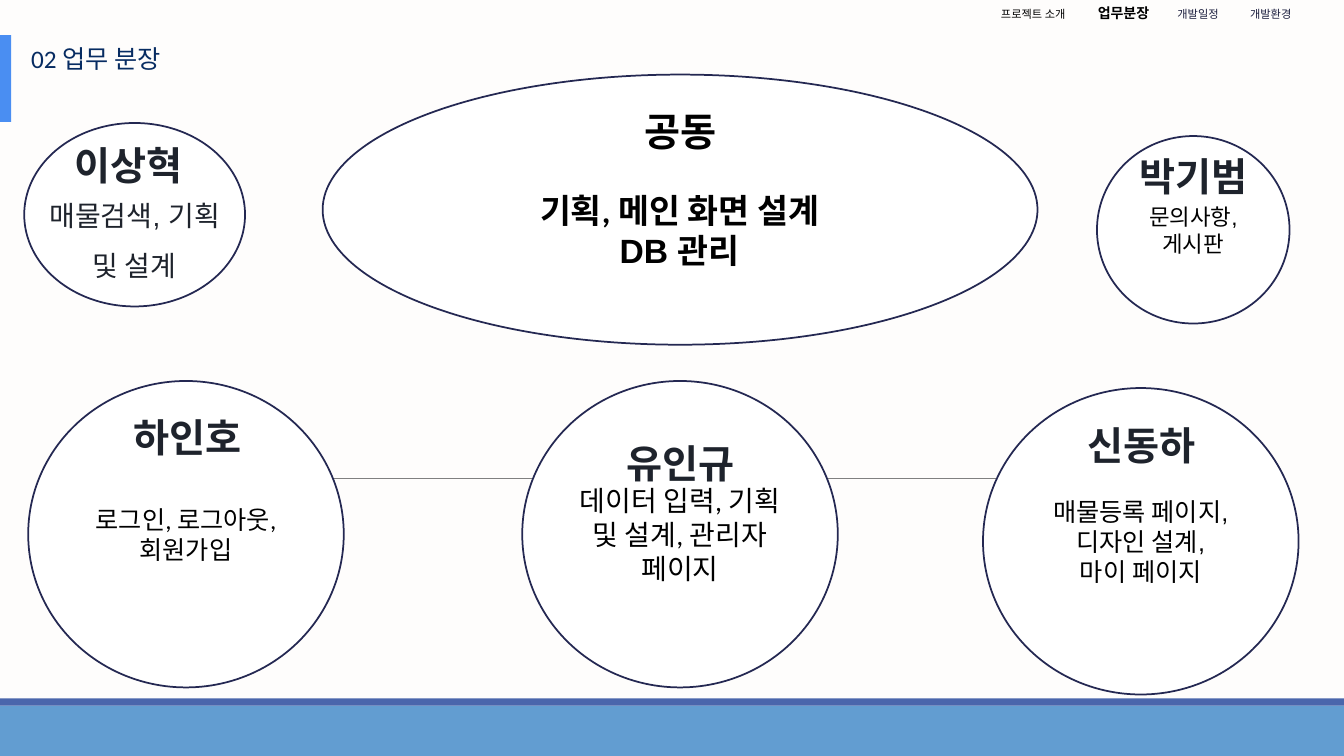
from lxml import etree
from pptx import Presentation
from pptx.dml.color import RGBColor
from pptx.enum.shapes import MSO_CONNECTOR, MSO_SHAPE
from pptx.enum.text import MSO_ANCHOR, PP_ALIGN
from pptx.oxml.ns import qn
from pptx.util import Inches, Pt

RECT, OVAL = MSO_SHAPE.RECTANGLE, MSO_SHAPE.OVAL
STRAIGHT = MSO_CONNECTOR.STRAIGHT
MIDDLE, TOP = MSO_ANCHOR.MIDDLE, MSO_ANCHOR.TOP
CENTER, LEFT = PP_ALIGN.CENTER, PP_ALIGN.LEFT

COLORS = {
    "background": "FEFDFC", "footer": "629DD1", "footer_edge": "4A66AC",
    "rule": "808080", "outline": "242852", "accent": "4A8EF2",
    "title": "072C62", "name": "1E232C", "nav": "1B1E3E",
    "black": "000000", "white": "FFFFFF",
}

# name, name box (left, top), ellipse box, duty lines, duty size, duty fonts
MEMBERS = [
    ("하인호", (1.18, 4.05), (0.28, 3.78, 3.13, 3.04),
     ["로그인, 로그아웃, 회원가입"], 18, ["Calibri"]),
    ("유인규", (6.07, 4.31), (5.18, 3.78, 3.13, 3.04),
     ["데이터 입력, 기획 및 설계, 관리자 페이지"], 20, ["Calibri"]),
    ("신동하", (10.64, 4.13), (9.75, 3.85, 3.13, 3.04),
     ["매물등록 페이지,", "디자인 설계,", "마이 페이지"], 18,
     ["Arial", "Arial", "Calibri"]),
    ("박기범", (11.16, 1.46), (10.88, 1.35, 1.91, 1.86),
     ["문의사항, 게시판"], 16, ["Arial"]),
    ("이상혁", (0.6, 1.35), (0.24, 1.22, 2.19, 1.82), [], 20, []),
]
# label, size, bold, colour
NAV = [
    ("프로젝트 소개", 8, False, "black"),
    ("업무분장", 10, True, "black"),
    ("개발일정", 8, False, "nav"),
    ("개발환경", 8, False, "nav"),
]
NAV_TABS = [0.96, 1.75, 2.47]


def rgb(name):
    return RGBColor.from_string(COLORS[name])


def style_font(font, size, color, bold=False, face="Calibri"):
    font.size, font.bold, font.name = Pt(size), bold, face
    font.color.rgb = rgb(color)


def write(sp, lines, size, color="black", bold=False, fonts=("Calibri",),
          align=CENTER, anchor=TOP, wrap=True, spacing=None):
    """Fill a shape with one paragraph per line, each in its own font."""
    tf = sp.text_frame
    tf.word_wrap, tf.vertical_anchor = wrap, anchor
    for i, (line, face) in enumerate(zip(lines, fonts)):
        p = tf.add_paragraph() if i else tf.paragraphs[0]
        p.text, p.alignment = line, align
        if spacing:
            p.line_spacing = spacing
        style_font(p.font, size, color, bold, face)


def add_shape(s, kind, box, fill, line=None, width=1.25):
    sp = s.shapes.add_shape(kind, *map(Inches, box))
    sp.shadow.inherit = False
    sp.fill.solid()
    sp.fill.fore_color.rgb = rgb(fill)
    if line:
        sp.line.color.rgb = rgb(line)
        sp.line.width = Pt(width)
    else:
        sp.line.fill.background()
    return sp


def add_text(s, box, lines, size, color="black", **style):
    sp = s.shapes.add_textbox(*map(Inches, box))
    write(sp, lines, size, color, **style)


def add_rule(s, x1, x2, y):
    line = s.shapes.add_connector(
        STRAIGHT, Inches(x1), Inches(y), Inches(x2), Inches(y))
    line.line.color.rgb = rgb("rule")
    line.line.width = Pt(0.5)
    etree.SubElement(line._element.spPr, qn("a:effectLst"))


def add_member(s, name, name_at, ellipse, duties, size, fonts):
    sp = add_shape(s, OVAL, ellipse, "white", "outline")
    if duties:
        write(sp, duties, size, fonts=fonts, anchor=MIDDLE)
    add_text(s, (*name_at, 1.36, 0.57), [name], 28, "name",
             bold=True, wrap=False)


def add_nav(s):
    """Menu line whose labels sit on tab stops."""
    tb = s.shapes.add_textbox(Inches(9.83), 0, Inches(3.5), Inches(0.4))
    tb.text_frame.word_wrap = True
    p = tb.text_frame.paragraphs[0]
    p.alignment = LEFT
    tabs = etree.SubElement(p._p.get_or_add_pPr(), qn("a:tabLst"))
    for pos in NAV_TABS:
        etree.SubElement(tabs, qn("a:tab"), pos=str(Inches(pos)), algn="l")
    for i, (label, size, bold, color) in enumerate(NAV):
        r = p.add_run()
        r.text = "\t" + label if i else label
        style_font(r.font, size, color, bold)


def main():
    prs = Presentation()
    prs.slide_width, prs.slide_height = Inches(13.33), Inches(7.5)
    s = prs.slides.add_slide(prs.slide_layouts[6])
    s.background.fill.solid()
    s.background.fill.fore_color.rgb = rgb("background")

    add_shape(s, RECT, (0, 7, 13.33, 0.5), "footer")
    add_shape(s, RECT, (0, 6.93, 13.33, 0.07), "footer_edge")
    add_rule(s, 1.32, 12.12, 4.75)
    add_shape(s, RECT, (0, 0.35, 0.11, 0.86), "accent")
    add_text(s, (0.21, 0.38, 1.63, 0.4), ["02 업무 분장"], 18, "title",
             align=LEFT, wrap=False)
    add_nav(s)

    add_shape(s, OVAL, (3.2, 0.74, 7.09, 2.68), "white", "outline")
    shared = add_shape(s, RECT, (6.25, 1.02, 0.99, 0.57),
                       "white", "white", 0.75)
    write(shared, ["공동"], 28, bold=True, wrap=False)
    add_text(s, (5.09, 1.83, 3.3, 0.91), ["기획, 메인 화면 설계", "DB 관리"],
             24, bold=True, fonts=("Calibri", "Arial"), wrap=False)

    for member in MEMBERS:
        add_member(s, *member)
    add_text(s, (0.26, 1.75, 2.15, 1.03), ["매물검색, 기획 및 설계"], 20,
             "name", fonts=["Arial"], spacing=1.5)

    prs.save("out.pptx")


if __name__ == "__main__":
    main()
